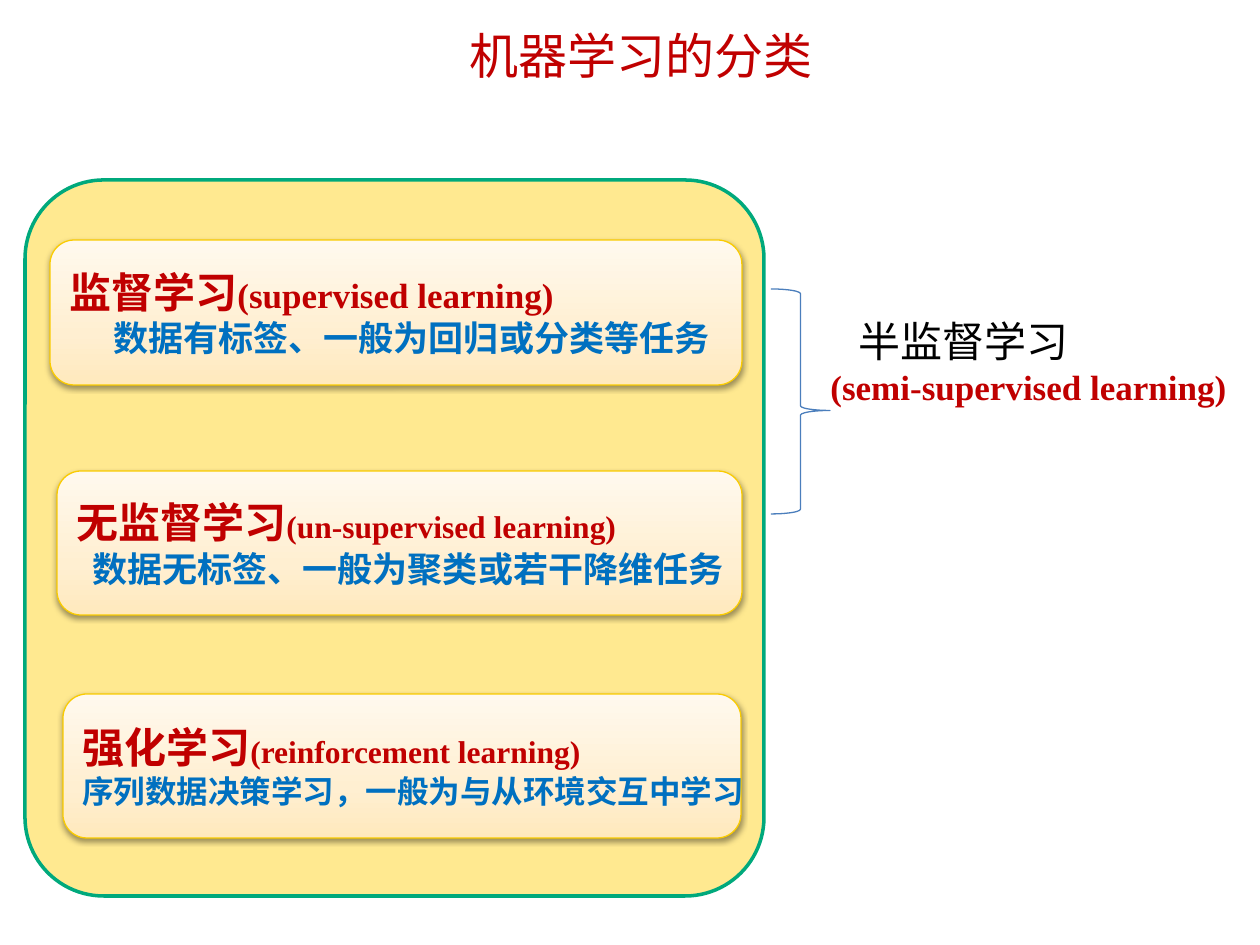
from copy import deepcopy
from dataclasses import dataclass

from pptx import Presentation
from pptx import util as u
from pptx.dml.color import RGBColor
from pptx.enum import shapes, text
from pptx.oxml import parse_xml
from pptx.oxml.ns import nsdecls, qn

EMU_PER_PX = 914400 / 126
LATIN_FONT = "Times New Roman"
CHINESE_FONT = "Noto Sans CJK SC"
COLORS = {
    "red": "C00000",
    "blue": "0070C0",
    "black": "000000",
    "panel": "FFE990",
    "panel_line": "00A97C",
    "card_line": "FACB00",
    "brace": "4B7EBC",
}
CARD_GRADIENT = [(0, "FFE9BD"), (0.35, "FFEFD1"), (1, "FFF9EE")]


@dataclass
class Card:
    left: int
    top: int
    width: int
    height: int
    name: str
    english: str
    english_size: int
    detail: str
    detail_size: int
    detail_indent: int


CARDS = [
    Card(50, 240, 692, 145, "监督学习", "(supervised learning)", 20,
         "数据有标签、一般为回归或分类等任务", 20, 44),
    Card(57, 471, 685, 144, "无监督学习", "(un-supervised learning)", 18,
         "数据无标签、一般为聚类或若干降维任务", 20, 16),
    Card(63, 694, 678, 144, "强化学习", "(reinforcement learning)", 18,
         "序列数据决策学习，一般为与从环境交互中学习", 18, 0),
]


def px(length: int) -> u.Emu:
    return u.Emu(round(length * EMU_PER_PX))


def rgb(name: str) -> RGBColor:
    return RGBColor.from_string(COLORS[name])


def format_run(run, size: int, color: str, bold: bool = False,
               latin: str = LATIN_FONT) -> None:
    run.font.size = u.Pt(size)
    run.font.bold = bold
    run.font.color.rgb = rgb(color)
    run.font.name = latin
    run.font._element.find(qn("a:latin")).addnext(
        parse_xml(f'<a:ea {nsdecls("a")} typeface="{CHINESE_FONT}"/>'))


def add_run(paragraph, words: str, size: int, color: str, bold: bool = False,
            latin: str = LATIN_FONT) -> None:
    run = paragraph.add_run()
    run.text = words
    format_run(run, size, color, bold, latin)


def indent(paragraph, length: int) -> None:
    properties = paragraph._p.get_or_add_pPr()
    properties.set("marL", str(px(length)))
    properties.set("indent", "0")


def add_outline_shape(slide, kind, box: tuple[int, int, int, int],
                      line: str, weight: float):
    shape = slide.shapes.add_shape(kind, *map(px, box))
    shape.shadow.inherit = False
    shape.line.color.rgb = rgb(line)
    shape.line.width = u.Pt(weight)
    return shape


def fill_card(shape) -> None:
    shape.fill.gradient()
    shape.fill.gradient_angle = 90
    properties = shape._element.spPr
    stop_list = properties.find(qn("a:gradFill")).find(qn("a:gsLst"))
    stop_list.append(deepcopy(stop_list[0]))
    for stop, (position, color) in zip(shape.fill.gradient_stops, CARD_GRADIENT):
        stop.position = position
        stop.color.rgb = RGBColor.from_string(color)
    # Soft shadow below the card
    properties.find(qn("a:effectLst")).append(parse_xml(
        f'<a:outerShdw {nsdecls("a")} blurRad="40000" dist="20000" '
        'dir="5400000" rotWithShape="0"><a:srgbClr val="000000">'
        '<a:alpha val="38000"/></a:srgbClr></a:outerShdw>'))


def add_card(slide, card: Card) -> None:
    box = (card.left, card.top, card.width, card.height)
    shape = add_outline_shape(slide, shapes.MSO_SHAPE.ROUNDED_RECTANGLE,
                              box, "card_line", 0.75)
    fill_card(shape)
    frame = shape.text_frame
    frame.word_wrap = False
    frame.vertical_anchor = text.MSO_ANCHOR.MIDDLE
    frame.margin_top = frame.margin_bottom = 0
    heading, detail = frame.paragraphs[0], frame.add_paragraph()
    heading.alignment = detail.alignment = text.PP_ALIGN.LEFT
    add_run(heading, card.name, 24, "red", True)
    add_run(heading, card.english, card.english_size, "red", True)
    indent(detail, card.detail_indent)
    add_run(detail, card.detail, card.detail_size, "blue", True)


def add_title(slide, words: str) -> None:
    title = slide.shapes.title
    title.left, title.top, title.width, title.height = map(px, (64, 38, 1154, 91))
    frame = title.text_frame
    frame.text = words
    frame.vertical_anchor = text.MSO_ANCHOR.MIDDLE
    frame.margin_top, frame.margin_bottom = 0, px(50)
    paragraph = frame.paragraphs[0]
    paragraph.alignment = text.PP_ALIGN.CENTER
    paragraph.line_spacing = 0.9
    format_run(paragraph.runs[0], 28, "red", latin=CHINESE_FONT)


def add_semi_supervised(slide) -> None:
    brace = add_outline_shape(slide, shapes.MSO_SHAPE.RIGHT_BRACE,
                              (771, 289, 59, 225), "brace", 0.75)
    brace.fill.background()
    brace.adjustments[0], brace.adjustments[1] = 0.08, 0.54
    label = slide.shapes.add_textbox(*map(px, (818, 309, 425, 149)))
    frame = label.text_frame
    frame.word_wrap = False
    frame.auto_size = text.MSO_AUTO_SIZE.SHAPE_TO_FIT_TEXT
    name, english = frame.paragraphs[0], frame.add_paragraph()
    indent(name, 28)
    add_run(name, "半监督学习", 24, "black", latin=CHINESE_FONT)
    add_run(english, "(semi-supervised learning)", 20, "red", True)


def main() -> None:
    presentation = Presentation()
    presentation.slide_width, presentation.slide_height = px(1260), px(945)
    slide = presentation.slides.add_slide(presentation.slide_layouts[5])
    add_title(slide, "机器学习的分类")

    # Panel holding the three kinds of learning
    panel = add_outline_shape(slide, shapes.MSO_SHAPE.ROUNDED_RECTANGLE,
                              (25, 180, 739, 716), "panel_line", 2)
    panel.adjustments[0] = 0.11
    panel.fill.solid()
    panel.fill.fore_color.rgb = rgb("panel")
    for card in CARDS:
        add_card(slide, card)

    # Brace joining the first two cards
    add_semi_supervised(slide)
    presentation.save("out.pptx")


if __name__ == "__main__":
    main()
